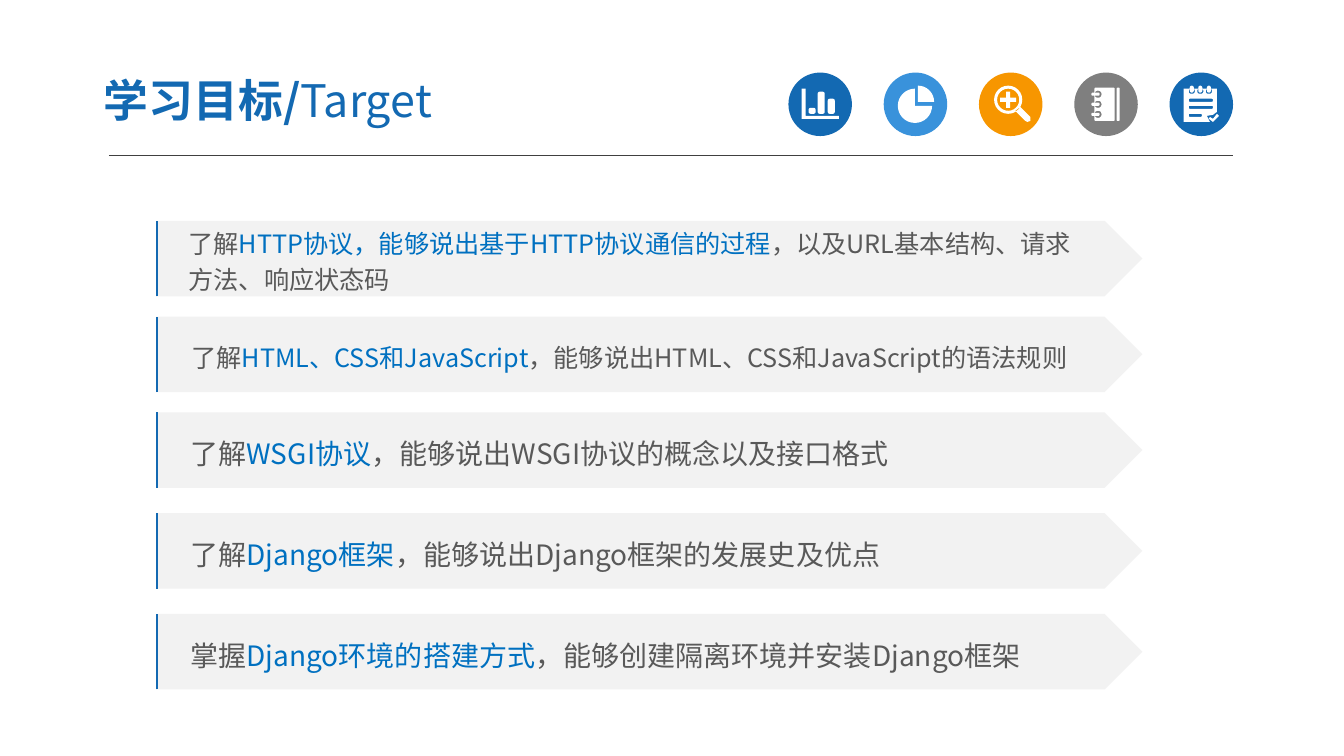
"""Builds a learning-targets slide with an icon row and five arrow banners."""
from math import cos, radians, sin
from lxml.etree import SubElement
from pptx import Presentation
from pptx.dml.color import RGBColor
from pptx.enum.shapes import MSO_CONNECTOR, MSO_SHAPE
from pptx.enum.text import MSO_ANCHOR, MSO_AUTO_SIZE, PP_ALIGN
from pptx.oxml.ns import qn
from pptx.util import Inches, Pt

FONT = "Noto Sans CJK SC"
COLORS = {
    "blue": "1369B2", "sky": "3992DB", "orange": "F79600", "gray": "7F7F7F",
    "white": "FFFFFF", "banner": "F2F2F2", "text": "595959",
    "accent": "0070C0", "rule": "404040",
}
DISC_COLORS = ["blue", "sky", "orange", "gray", "blue"]
DISC_LEFT, DISC_TOP, DISC_STEP, DISC_SIZE = 7.82, 0.72, 0.945, 0.63
BANNER_LEFT, BANNER_WIDTH, BANNER_HEIGHT = 1.55, 9.78, 0.75

BANNERS = [
    (2.19, 18, 0.22, 0, [
        [("了解", "text"),
         ("HTTP协议，能够说出基于HTTP协议通信的过程", "accent"),
         ("，以及URL基本结构、请求", "text")],
        [("方法、响应状态码", "text")]]),
    (3.14, 18, 0, 0.25, [
        [("了解", "text"), ("HTML、CSS和JavaScript", "accent"),
         ("，能够说出HTML、CSS和JavaScript的语法规则", "text")]]),
    (4.09, 20, 0, 0.24, [
        [("了解", "text"), ("WSGI协议", "accent"),
         ("，能够说出WSGI协议的概念以及接口格式", "text")]]),
    (5.09, 20, 0, 0.24, [
        [("了解", "text"), ("Django框架", "accent"),
         ("，能够说出Django框架的发展史及优点", "text")]]),
    (6.09, 20, 0, 0.24, [
        [("掌握", "text"), ("Django环境的搭建方式", "accent"),
         ("，能够创建隔离环境并安装Django框架", "text")]]),
]


def rgb(name):
    return RGBColor.from_string(COLORS[name])


def paint(sp, color):
    sp.shadow.inherit = False
    sp.fill.solid()
    sp.fill.fore_color.rgb = rgb(color)
    sp.line.fill.background()


def add_shape(s, kind, left, top, width, height, color):
    sp = s.shapes.add_shape(kind, Inches(left), Inches(top), Inches(width), Inches(height))
    paint(sp, color)
    return sp


def add_rule(s):
    ln = s.shapes.add_connector(
        MSO_CONNECTOR.STRAIGHT, Inches(1.08), Inches(1.54), Inches(12.23), Inches(1.54))
    ln.line.color.rgb = rgb("rule")
    ln.line.width = Pt(0.75)
    SubElement(ln._element.spPr, qn("a:effectLst"))


def add_run(p, text, size, color, bold=False):
    r = p.add_run()
    r.text = text
    r.font.size = Pt(size)
    r.font.bold = bold
    r.font.color.rgb = rgb(color)
    r.font.name = FONT
    SubElement(r._r.get_or_add_rPr(), qn("a:ea"), typeface=FONT)


def add_title(s):
    sp = s.shapes.title
    sp.left, sp.top = Inches(0.9), Inches(0.63)
    sp.width, sp.height = Inches(5.22), Inches(0.72)
    tf = sp.text_frame
    tf.auto_size = MSO_AUTO_SIZE.NONE
    tf.word_wrap = True
    tf.vertical_anchor = MSO_ANCHOR.MIDDLE
    tf.margin_left = tf.margin_right = Inches(0.13)
    tf.margin_top = tf.margin_bottom = Inches(0.07)
    p = tf.paragraphs[0]
    p.alignment = PP_ALIGN.LEFT
    add_run(p, "学习目标/", 32, "blue", True)
    add_run(p, "Target", 32, "blue")


def add_edge(s, top):
    x, y = Inches(BANNER_LEFT + 0.01), Inches(top)
    fb = s.shapes.build_freeform(x, y + Inches(BANNER_HEIGHT))
    fb.add_line_segments([(x, y)], close=False)
    fb.move_to(x + Inches(0.1), y)
    sp = fb.convert_to_shape()
    sp.shadow.inherit = False
    sp.fill.background()
    sp.line.color.rgb = rgb("blue")
    sp.line.width = Pt(1.5)


def add_banner(s, top, size, margin, indent, paragraphs):
    sp = add_shape(s, MSO_SHAPE.PENTAGON, BANNER_LEFT, top, BANNER_WIDTH, BANNER_HEIGHT, "banner")
    tf = sp.text_frame
    tf.word_wrap = True
    tf.vertical_anchor = MSO_ANCHOR.MIDDLE
    for i, runs in enumerate(paragraphs):
        p = tf.add_paragraph() if i else tf.paragraphs[0]
        p.alignment = PP_ALIGN.LEFT
        p.line_spacing = 1.2
        pPr = p._p.get_or_add_pPr()
        pPr.set("marL", str(Inches(margin)))
        pPr.set("indent", str(Inches(indent)))
        for text, color in runs:
            add_run(p, text, size, color)
    add_edge(s, top)


def arc(cx, cy, radius, start=0, end=360, steps=24):
    angles = [radians(start + (end - start) * i / steps) for i in range(steps + 1)]
    return [(cx + radius * cos(a), cy + radius * sin(a)) for a in angles]


def box(x, y, w, h, r=0.01):
    corners = [(x + w - r, y + h - r), (x + r, y + h - r), (x + r, y + r), (x + w - r, y + r)]
    return [pt for i, (cx, cy) in enumerate(corners)
            for pt in arc(cx, cy, r, 90 * i, 90 * i + 90, 3)]


def bars_icon():
    axis = [(0.13, 0.16), (0.17, 0.16), (0.17, 0.43), (0.5, 0.43), (0.5, 0.46), (0.13, 0.46)]
    bars = ((0.2, 0.06), (0.29, 0.22), (0.39, 0.15))
    return [axis] + [box(x, 0.41 - h, 0.07, h, 0.02) for x, h in bars]


def pie_icon():
    return [[(0.31, 0.33)] + arc(0.31, 0.33, 0.17, 0, 270),
            [(0.34, 0.29)] + arc(0.34, 0.29, 0.16, 270, 360, 8)]


def magnifier_icon():
    cx, cy, arm, half = 0.29, 0.27, 0.08, 0.02
    right = [(half, -half), (arm, -half), (arm, half)]
    turns = [(1, 0), (0, 1), (-1, 0), (0, -1)]
    plus = [(cx + c * x - n * y, cy + n * x + c * y) for c, n in turns for x, y in right]
    handle = [(0.41, 0.34), (0.51, 0.44), (0.51, 0.48), (0.48, 0.49), (0.46, 0.48), (0.36, 0.38)]
    return [arc(cx, cy, 0.14), arc(cx, cy, 0.11), plus, handle]


def notebook_icon():
    outlines = [box(0.2, 0.15, 0.2, 0.33), box(0.42, 0.15, 0.03, 0.33)]
    for y in (0.18, 0.28, 0.38):
        outlines += [box(0.2, y, 0.07, 0.07, 0.03), box(0.17, y + 0.02, 0.08, 0.03)]
    return outlines


def notepad_icon():
    page = [(0.14, 0.16), (0.47, 0.16), (0.47, 0.39), (0.43, 0.42),
            (0.37, 0.43), (0.4, 0.49), (0.14, 0.49)]
    check = [(0.4, 0.44), (0.43, 0.46), (0.47, 0.41), (0.49, 0.43), (0.43, 0.49), (0.39, 0.46)]
    outlines = [page, check]
    for x in (0.22, 0.305, 0.39):
        outlines += [box(x - 0.03, 0.16, 0.06, 0.05, 0.02), box(x - 0.02, 0.13, 0.04, 0.07, 0.02)]
    for y, w in ((0.26, 0.24), (0.33, 0.24), (0.41, 0.13)):
        outlines.append(box(0.19, y, w, 0.03))
    return outlines


def add_icon(s, left, top, outlines):
    moved = [[(Inches(left + x), Inches(top + y)) for x, y in pts] for pts in outlines]
    fb = s.shapes.build_freeform(*moved[0][0])
    for i, pts in enumerate(moved):
        if i:
            fb.move_to(*pts[0])
        fb.add_line_segments(pts[1:])
    paint(fb.convert_to_shape(), "white")


def add_icons(s):
    icons = [bars_icon, pie_icon, magnifier_icon, notebook_icon, notepad_icon]
    for i, (color, icon) in enumerate(zip(DISC_COLORS, icons)):
        left = DISC_LEFT + i * DISC_STEP
        add_shape(s, MSO_SHAPE.OVAL, left, DISC_TOP, DISC_SIZE, DISC_SIZE, color)
        add_icon(s, left, DISC_TOP, icon())


def main():
    prs = Presentation()
    prs.slide_width, prs.slide_height = Inches(13.33), Inches(7.5)
    s = prs.slides.add_slide(prs.slide_layouts[5])
    add_rule(s)
    add_icons(s)
    add_title(s)
    for banner in BANNERS:
        add_banner(s, *banner)
    prs.save("out.pptx")


if __name__ == "__main__":
    main()
